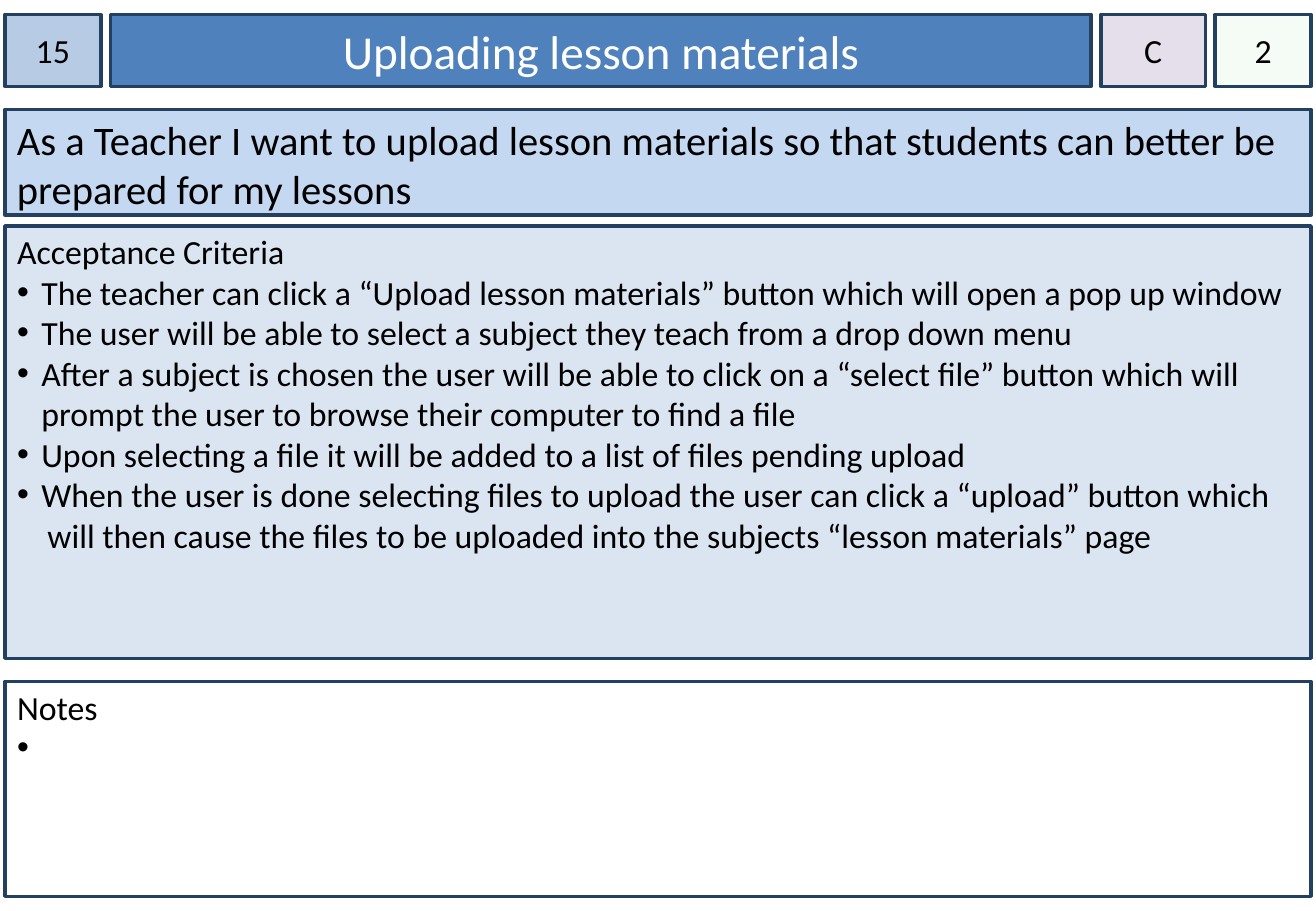
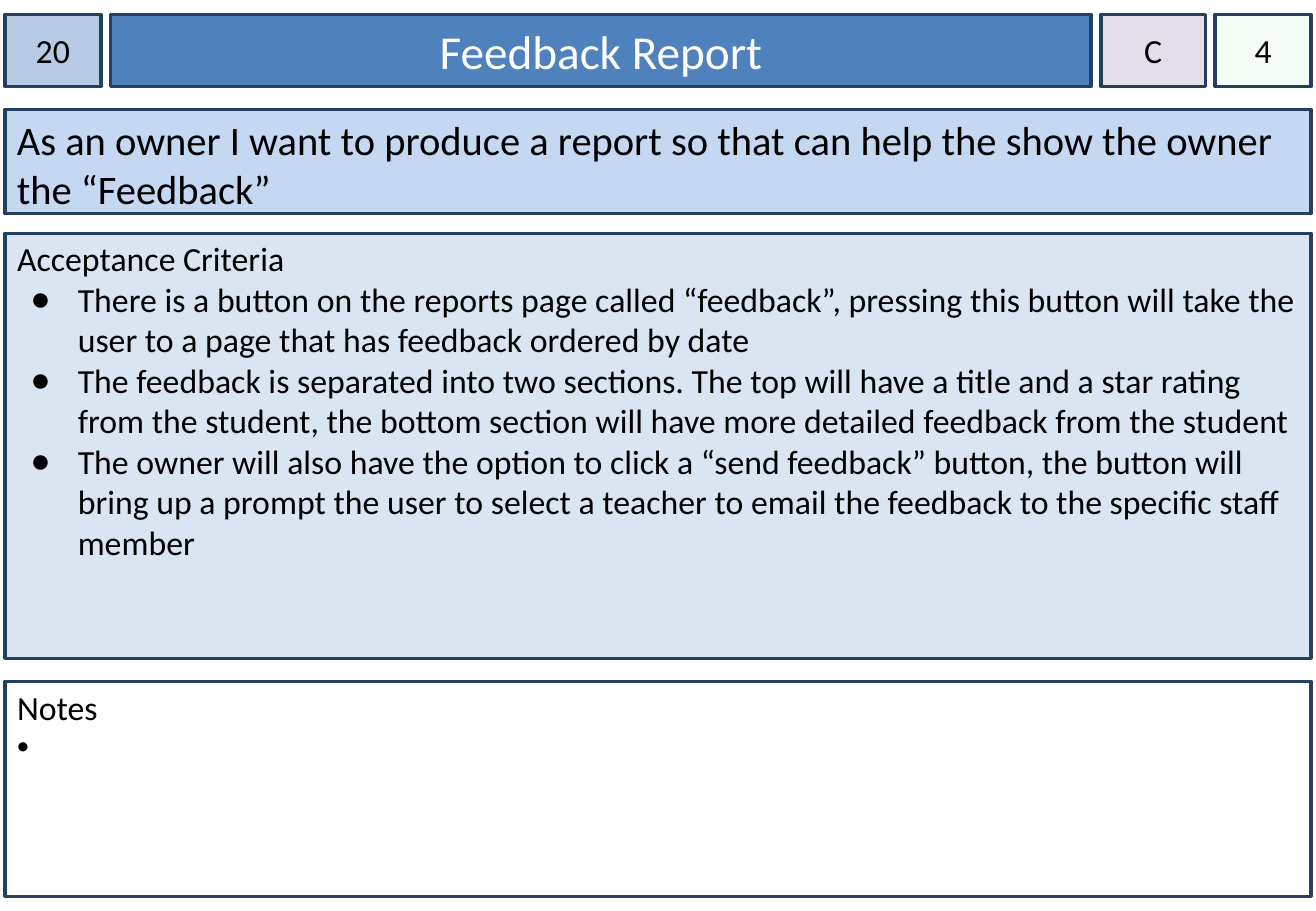
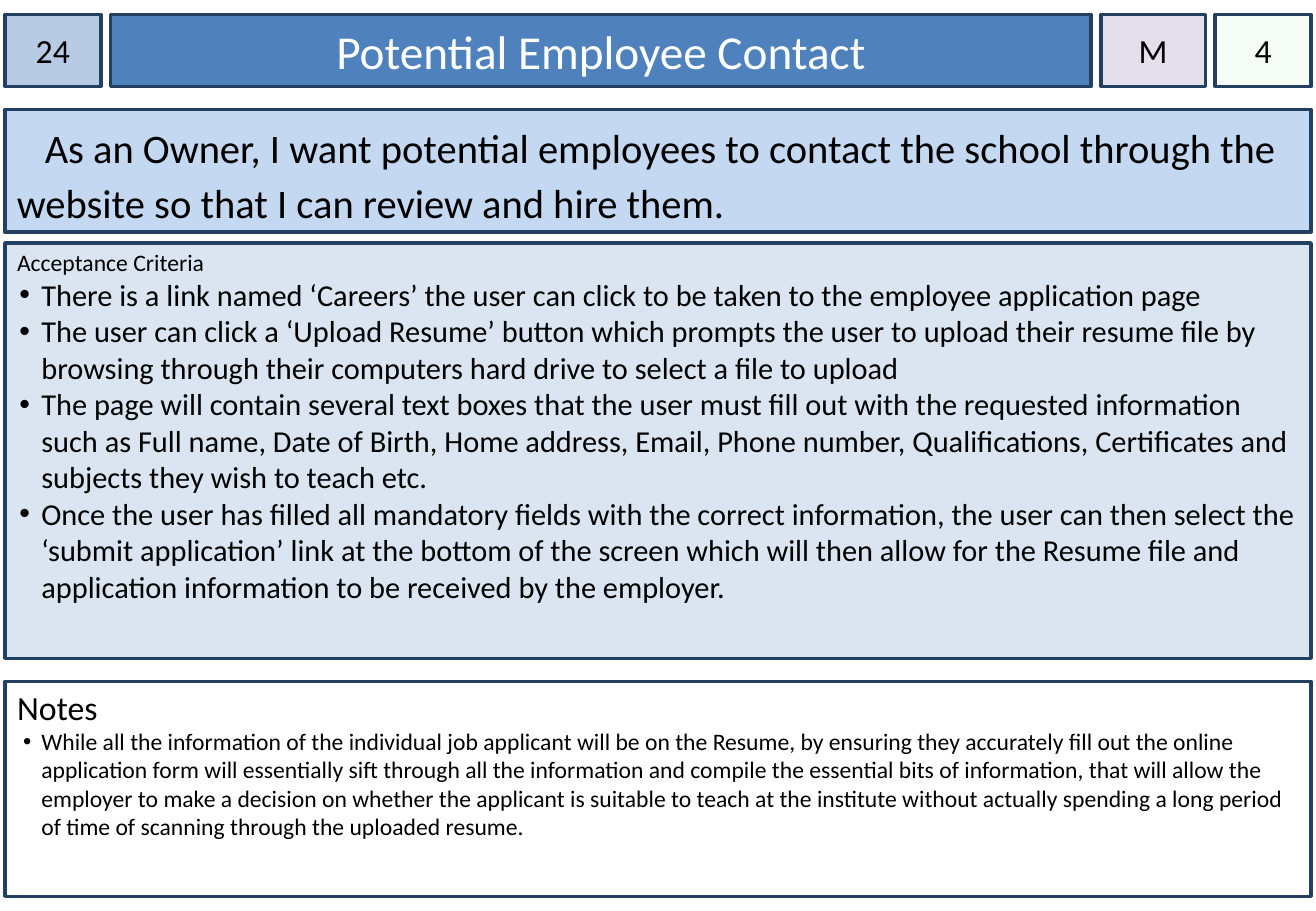
from dataclasses import dataclass

from lxml.etree import SubElement
from pptx import Presentation
from pptx.dml.color import RGBColor
from pptx.enum.shapes import MSO_SHAPE as Shape
from pptx.enum.text import MSO_ANCHOR as Anchor, MSO_AUTO_SIZE as AutoSize, PP_ALIGN as Align
from pptx.oxml.ns import qn
from pptx.util import Inches, Pt

COLORS = {
    "border": "244061", "number": "B7CCE4", "title": "4F81BD", "story": "C5D8F1",
    "criteria": "DAE5F1", "priority": "E5DFEC", "estimate": "CCF0CD",
    "notes": "FFFFFF", "text": "000000", "title_text": "FFFFFF",
}
FONT = "Calibri"
LEFT, WIDTH = 0.04, 10.75
HEADER_TOP, HEADER_HEIGHT, HEADER_GAP = 0.12, 0.59, 0.08
HEADER_WIDTHS = {"number": 0.79, "title": 8.07, "priority": 0.86, "estimate": 0.79}
STORY_TOP, CRITERIA_BOTTOM = 0.9, 5.42
NOTES_TOP, NOTES_HEIGHT = 5.61, 1.77


@dataclass
class Line:
    """One paragraph: its text, size, indents, bullet and spacing."""
    text: str
    size: int = 20
    margin: float = 0
    indent: float = 0
    bullet: str = ""
    spacing: float = 1.0
    align: Align = Align.LEFT
    color: str = "text"


def bullets(texts, size=20, margin=0.2, indent=-0.2, mark="•"):
    """Return bulleted lines that share one style."""
    return [Line(text, size, margin, indent, mark) for text in texts]


class CardDeck:
    """Builds story cards, one on each slide."""

    def __init__(self):
        """Start an empty presentation of the card size."""
        self.presentation = Presentation()
        self.presentation.slide_width = Inches(10.83)
        self.presentation.slide_height = Inches(7.5)
        self.slide = None

    def add_card(self, number, title, priority, estimate, story, story_height,
                 criteria, criteria_top, notes):
        """Add a slide with the header row and the three panels."""
        layout = self.presentation.slide_layouts.get_by_name("Two Content")
        self.slide = self.presentation.slides.add_slide(layout)
        self.header({"number": number, "title": title,
                     "priority": priority, "estimate": estimate})
        self.panel(self.rectangle(), "story", STORY_TOP, story_height, [story], 0.05)
        criteria_body, notes_body = list(self.slide.placeholders)[1:]
        self.panel(criteria_body, "criteria", criteria_top,
                   CRITERIA_BOTTOM - criteria_top, criteria)
        self.panel(notes_body, "notes", NOTES_TOP, NOTES_HEIGHT, notes)

    def header(self, texts):
        """Lay the header boxes side by side."""
        left = LEFT
        for name, width in HEADER_WIDTHS.items():
            is_title = name == "title"
            shape = self.slide.shapes.title if is_title else self.rectangle()
            self.place(shape, left, HEADER_TOP, width, HEADER_HEIGHT)
            self.paint(shape, name)
            size, color = (28, "title_text") if is_title else (20, "text")
            line = Line(texts[name], size, align=Align.CENTER, color=color)
            self.add_lines(shape, [line], Anchor.MIDDLE, 0.1 if is_title else 0, 0.05)
            if name == "estimate":
                self.set_opacity(shape, 20)
            left += width + HEADER_GAP

    def panel(self, shape, name, top, height, lines, inset_top=0.04):
        """Turn a shape into a full-width panel of text."""
        self.place(shape, LEFT, top, WIDTH, height)
        self.paint(shape, name)
        self.add_lines(shape, lines, Anchor.TOP, 0.1, inset_top)

    def rectangle(self):
        """Add a rectangle, to be placed later."""
        shape = self.slide.shapes.add_shape(Shape.RECTANGLE, 0, 0, 0, 0)
        shape.shadow.inherit = False
        return shape

    def place(self, shape, left, top, width, height):
        """Set position and size in inches."""
        shape.left, shape.top = Inches(left), Inches(top)
        shape.width, shape.height = Inches(width), Inches(height)

    def paint(self, shape, color):
        """Set the fill and the shared border."""
        shape.fill.solid()
        shape.fill.fore_color.rgb = RGBColor.from_string(COLORS[color])
        shape.line.color.rgb = RGBColor.from_string(COLORS["border"])
        shape.line.width = Pt(2)

    def set_opacity(self, shape, percent):
        """Make the solid fill partly transparent."""
        color = shape._element.spPr.find(qn("a:solidFill"))[0]
        SubElement(color, qn("a:alpha"), val=str(percent * 1000))

    def add_lines(self, shape, lines, anchor, inset_side, inset_top):
        """Fill the text frame with lines."""
        frame = shape.text_frame
        frame.word_wrap = True
        frame.auto_size = AutoSize.NONE
        frame.vertical_anchor = anchor
        frame.margin_left = frame.margin_right = Inches(inset_side)
        frame.margin_top, frame.margin_bottom = Inches(inset_top), Inches(0.05)
        for index, line in enumerate(lines):
            paragraph = frame.add_paragraph() if index else frame.paragraphs[0]
            self.format_paragraph(paragraph, line)
            run = paragraph.add_run()
            run.text = line.text
            run.font.name, run.font.size = FONT, Pt(line.size)
            run.font.color.rgb = RGBColor.from_string(COLORS[line.color])

    def format_paragraph(self, paragraph, line):
        """Set alignment, spacing, indents and bullet."""
        paragraph.alignment = line.align
        paragraph.line_spacing = line.spacing
        paragraph.space_before = paragraph.space_after = Pt(0)
        properties = paragraph._p.get_or_add_pPr()
        properties.set("marL", str(Inches(line.margin)))
        properties.set("indent", str(Inches(line.indent)))
        if line.bullet:
            color = SubElement(properties, qn("a:buClr"))
            SubElement(color, qn("a:srgbClr"), val=COLORS["text"])
            SubElement(properties, qn("a:buChar"), char=line.bullet)
        else:
            SubElement(properties, qn("a:buNone"))


CRITERIA_HEADING = Line("Acceptance Criteria")
NOTES_HEADING = Line("Notes")
OPEN_NOTES = [NOTES_HEADING, *bullets([" "])]

deck = CardDeck()
deck.add_card(
    "15", "Uploading lesson materials", "C", "2",
    story=Line("As a Teacher I want to upload lesson materials so that students can "
               "better be prepared for my lessons", 24),
    story_height=0.87,
    criteria=[CRITERIA_HEADING, *bullets([
        "The teacher can click a “Upload lesson materials” button which will open a pop up window",
        "The user will be able to select a subject they teach from a drop down menu",
        "After a subject is chosen the user will be able to click on a “select file” button "
        "which will prompt the user to browse their computer to find a file",
        "Upon selecting a file it will be added to a list of files pending upload",
        "When the user is done selecting files to upload the user can click a “upload” "
        "button which",
    ]), Line("will then cause the files to be uploaded into the subjects "
             "“lesson materials” page", margin=0.25)],
    criteria_top=1.86,
    notes=OPEN_NOTES,
)
deck.add_card(
    "20", "Feedback Report", "C", "4",
    story=Line("As an owner I want to produce a report so that can help the show the "
               "owner the “Feedback”", 24),
    story_height=0.86,
    criteria=[CRITERIA_HEADING, *bullets([
        "There is a button on the reports page called “feedback”, pressing this button will "
        "take the user to a page that has feedback ordered by date",
        "The feedback is separated into two sections. The top will have a title and a star "
        "rating from the student, the bottom section will have more detailed feedback from "
        "the student",
        "The owner will also have the option to click a “send feedback” button, the button "
        "will bring up a prompt the user to select a teacher to email the feedback to the "
        "specific staff member",
    ], margin=0.5, indent=-0.39, mark="●")],
    criteria_top=1.92,
    notes=OPEN_NOTES,
)
deck.add_card(
    "24", "Potential Employee Contact", "M", "4",
    story=Line("As an Owner, I want potential employees to contact the school through the "
               "website so that I can review and hire them.", 24, indent=0.23, spacing=1.15),
    story_height=1.01,
    criteria=[Line(CRITERIA_HEADING.text, 14), *bullets([
        "There is a link named ‘Careers’ the user can click to be taken to the employee "
        "application page",
        "The user can click a ‘Upload Resume’ button which prompts the user to upload their "
        "resume file by browsing through their computers hard drive to select a file to upload",
        "The page will contain several text boxes that the user must fill out with the "
        "requested information such as Full name, Date of Birth, Home address, Email, Phone "
        "number, Qualifications, Certificates and subjects they wish to teach etc.",
        "Once the user has filled all mandatory fields with the correct information, the user "
        "can then select the ‘submit application’ link at the bottom of the screen which will "
        "then allow for the Resume file and application information to be received by the "
        "employer.",
    ], size=18, indent=-0.18)],
    criteria_top=2.0,
    notes=[NOTES_HEADING, *bullets([
        "While all the information of the individual job applicant will be on the Resume, by "
        "ensuring they accurately fill out the online application form will essentially sift "
        "through all the information and compile the essential bits of information, that will "
        "allow the employer to make a decision on whether the applicant is suitable to teach "
        "at the institute without actually spending a long period of time of scanning through "
        "the uploaded resume.",
    ], size=14, indent=-0.15)],
)
deck.presentation.save("out.pptx")
